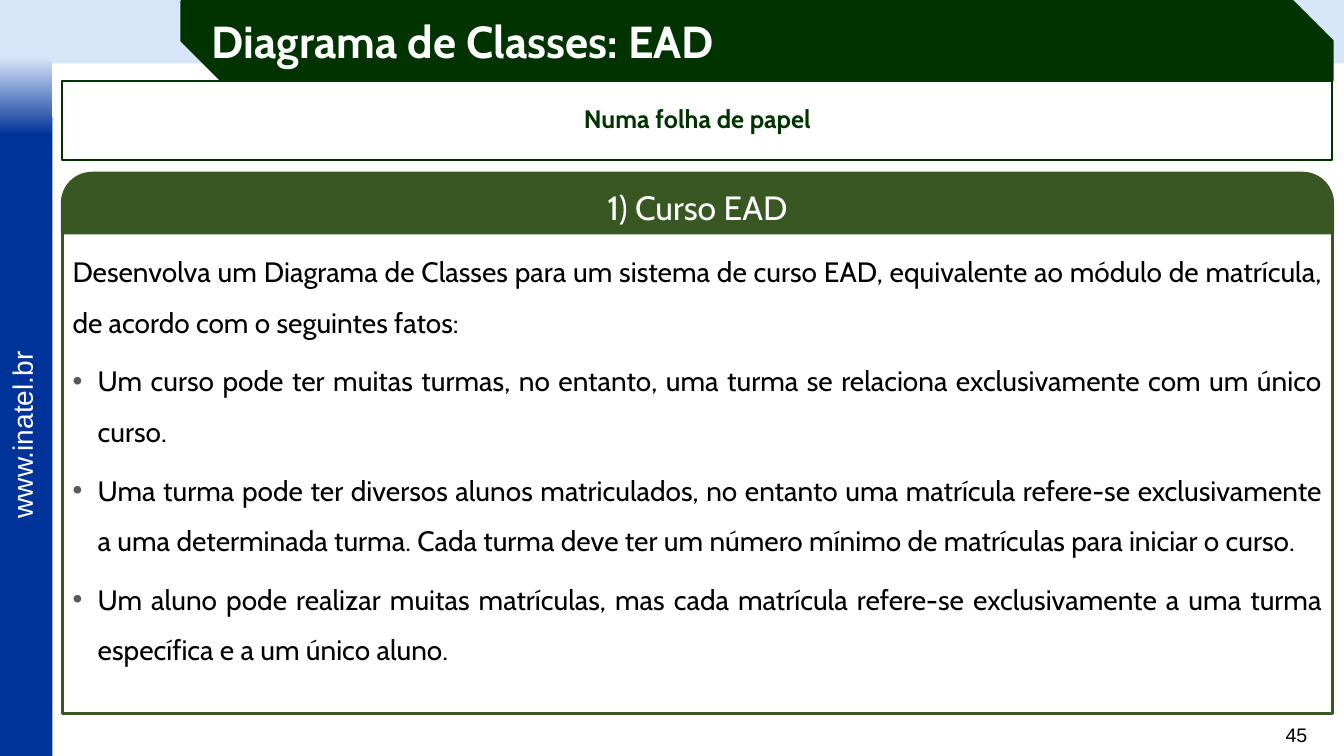
from dataclasses import dataclass

from lxml import etree
from pptx import Presentation
from pptx.dml.color import RGBColor
from pptx.enum.shapes import MSO_SHAPE
from pptx.enum.text import MSO_ANCHOR, MSO_AUTO_SIZE, PP_ALIGN
from pptx.oxml.ns import qn
from pptx.util import Pt

RECTANGLE = MSO_SHAPE.RECTANGLE
SNIPPED = MSO_SHAPE.SNIP_2_DIAG_RECTANGLE
ROUNDED_TOP = MSO_SHAPE.ROUND_2_SAME_RECTANGLE
LEFT, CENTER, RIGHT, JUSTIFY = PP_ALIGN.LEFT, PP_ALIGN.CENTER, PP_ALIGN.RIGHT, PP_ALIGN.JUSTIFY
TOP, MIDDLE = MSO_ANCHOR.TOP, MSO_ANCHOR.MIDDLE
NO_AUTOFIT = MSO_AUTO_SIZE.NONE


@dataclass(frozen=True)
class Theme:
    white: str = "FFFFFF"
    black: str = "000000"
    sky: str = "D7E5F9"
    blue: str = "003399"
    dark_green: str = "003300"
    green: str = "385723"
    bullet_gray: str = "595959"
    heading_font: str = "Cabin"
    label_font: str = "Arial"
    title_size: int = 32
    header_size: int = 24
    body_size: int = 20
    subtitle_size: int = 18
    number_size: int = 14


class SlideBuilder:
    def __init__(self, slide, theme):
        self.slide = slide
        self.theme = theme

    def place(self, shape, box):
        shape.left, shape.top, shape.width, shape.height = map(Pt, box)

    def paint(self, shape, fill, line=None, line_width=0):
        shape.fill.solid()
        shape.fill.fore_color.rgb = RGBColor.from_string(fill)
        if line:
            shape.line.color.rgb = RGBColor.from_string(line)
            shape.line.width = Pt(line_width)
        else:
            shape.line.fill.background()

    def panel(self, kind, box, fill, line=None, line_width=0, adjustments=()):
        shape = self.slide.shapes.add_shape(kind, *map(Pt, box))
        shape.shadow.inherit = False
        self.paint(shape, fill, line, line_width)
        for index, value in enumerate(adjustments):
            shape.adjustments[index] = value
        return shape

    def gradient_panel(self, box, colors):
        shape = self.panel(RECTANGLE, box, colors[0])
        shape.fill.gradient()
        shape.fill.gradient_angle = 270
        for stop, color in zip(shape.fill.gradient_stops, colors):
            stop.color.rgb = RGBColor.from_string(color)

    def frame(self, shape, anchor):
        text_frame = shape.text_frame
        text_frame.word_wrap = True
        text_frame.auto_size = NO_AUTOFIT
        text_frame.vertical_anchor = anchor
        return text_frame

    def add_text(self, paragraph, text, size, color, font, alignment=LEFT,
                 bold=False, line_spacing=1.0, space_before=0):
        paragraph.alignment = alignment
        paragraph.line_spacing = line_spacing
        paragraph.space_before = Pt(space_before)
        run = paragraph.add_run()
        run.text = text
        run.font.name = font
        run.font.size = Pt(size)
        run.font.bold = bold
        run.font.color.rgb = RGBColor.from_string(color)

    def caption(self, shape, text, size, color, **style):
        paragraph = self.frame(shape, MIDDLE).paragraphs[0]
        self.add_text(paragraph, text, size, color, self.theme.heading_font, **style)

    def label(self, box, text, size, color, alignment=LEFT, rotation=0):
        shape = self.slide.shapes.add_textbox(*map(Pt, box))
        shape.rotation = rotation
        text_frame = self.frame(shape, TOP)
        text_frame.word_wrap = rotation == 0
        self.add_text(text_frame.paragraphs[0], text, size, color,
                      self.theme.label_font, alignment)

    def title(self, box, text):
        shape = self.slide.shapes.title
        self.place(shape, box)
        self.slide.shapes._spTree.append(shape._element)
        self.caption(shape, text, self.theme.title_size, self.theme.white, bold=True)

    def set_bullet(self, paragraph, bulleted):
        properties = paragraph._p.get_or_add_pPr()
        indent = Pt(18) if bulleted else 0
        properties.set("marL", str(indent))
        properties.set("indent", str(-indent))
        if not bulleted:
            etree.SubElement(properties, qn("a:buNone"))
            return
        color = etree.SubElement(properties, qn("a:buClr"))
        etree.SubElement(color, qn("a:srgbClr"), val=self.theme.bullet_gray)
        etree.SubElement(properties, qn("a:buFont"), typeface=self.theme.label_font)
        etree.SubElement(properties, qn("a:buChar"), char="•")

    def body(self, box, introduction, facts):
        theme = self.theme
        shape = self.slide.placeholders[1]
        self.place(shape, box)
        self.paint(shape, theme.white, theme.green, 2.25)
        text_frame = self.frame(shape, TOP)
        for index, text in enumerate([introduction, *facts]):
            paragraph = text_frame.add_paragraph() if index else text_frame.paragraphs[0]
            self.set_bullet(paragraph, index > 0)
            self.add_text(paragraph, text, theme.body_size, theme.black, theme.heading_font,
                          JUSTIFY, line_spacing=1.5, space_before=6 if index else 0)


def main():
    presentation = Presentation()
    presentation.slide_width, presentation.slide_height = Pt(960), Pt(540)
    slide = presentation.slides.add_slide(presentation.slide_layouts[1])
    theme = Theme()
    builder = SlideBuilder(slide, theme)
    left, width, sidebar = 44.6, 907.2, 37.4

    builder.panel(RECTANGLE, (0, 0, 960, 45.4), theme.sky)
    builder.panel(RECTANGLE, (0, 83.5, sidebar, 456.5), theme.blue)
    builder.gradient_panel((0, 41, sidebar, 55.4), (theme.sky, theme.blue))
    builder.label((-51.8, 294.5, 134.6, 31), "www.inatel.br",
                  theme.body_size, theme.white, rotation=270)
    builder.label((894.2, 512.6, 46.8, 24.5), "45",
                  theme.number_size, theme.black, RIGHT)

    builder.body((left, 166.3, width, 343.4),
                 "Desenvolva um Diagrama de Classes para um sistema de curso EAD, "
                 "equivalente ao módulo de matrícula, de acordo com o seguintes fatos:",
                 ["Um curso pode ter muitas turmas, no entanto, uma turma se relaciona "
                  "exclusivamente com um único curso.",
                  "Uma turma pode ter diversos alunos matriculados, no entanto uma matrícula "
                  "refere-se exclusivamente a uma determinada turma. Cada turma deve ter um "
                  "número mínimo de matrículas para iniciar o curso.",
                  "Um aluno pode realizar muitas matrículas, mas cada matrícula refere-se "
                  "exclusivamente a uma turma específica e a um único aluno."])

    builder.panel(SNIPPED, (129.6, 0.7, 822.2, 56.9), theme.dark_green,
                  theme.dark_green, 1.5, (0, 0.5))
    builder.title((144, 0.7, 793, 56.9), "Diagrama de Classes: EAD")

    subtitle = builder.panel(RECTANGLE, (left, 57.6, width, 56.9), theme.white,
                             theme.dark_green, 1.5)
    builder.caption(subtitle, "Numa folha de papel", theme.subtitle_size, theme.dark_green,
                    alignment=CENTER, bold=True, line_spacing=0.9)

    header = builder.panel(ROUNDED_TOP, (left, 123.8, width, 42.5), theme.green,
                           theme.green, 2.25, (0.5, 0))
    builder.caption(header, "1) Curso EAD", theme.header_size, theme.white, alignment=CENTER)

    presentation.save("out.pptx")


if __name__ == "__main__":
    main()
